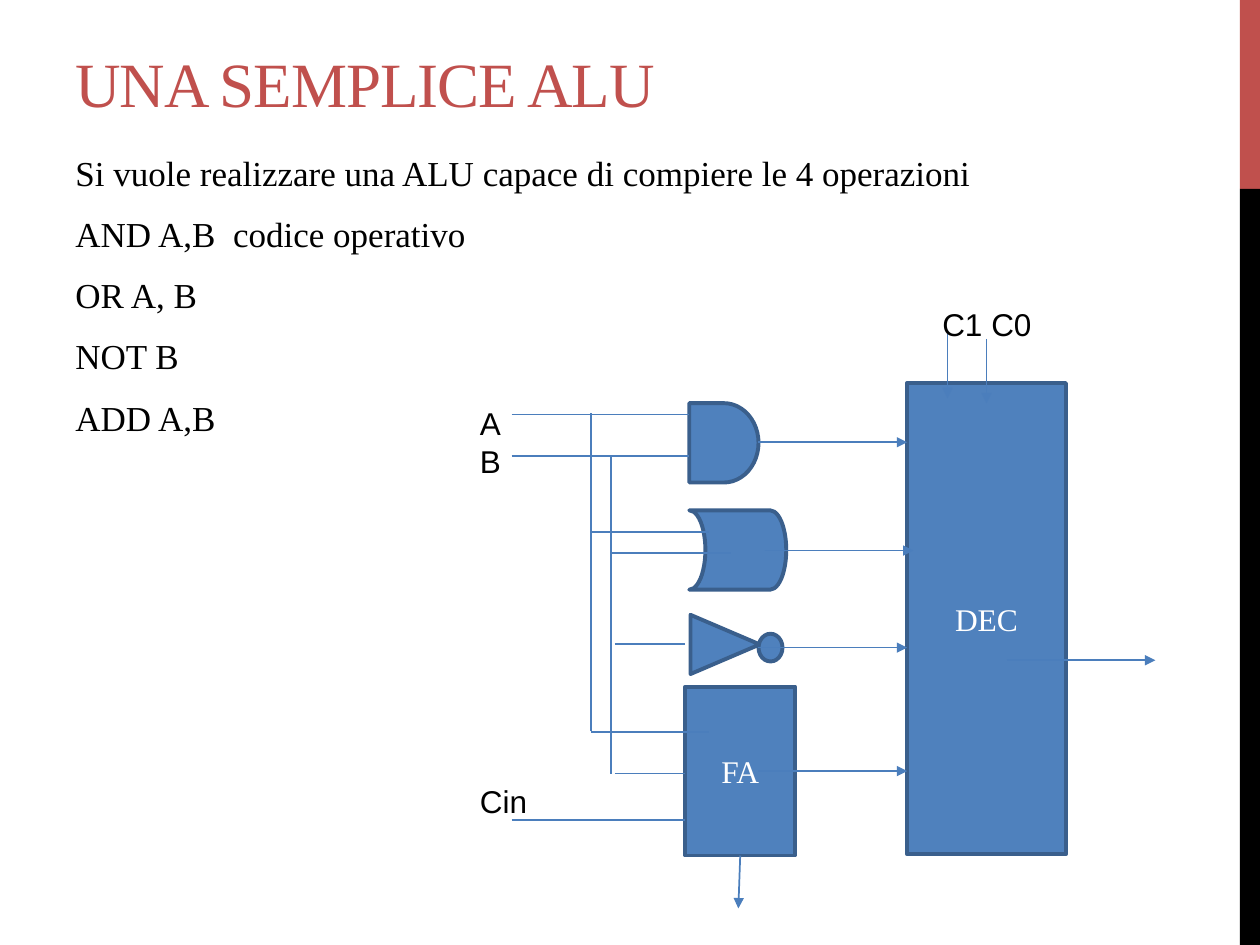
import pptx
import pptx.util
import pptx.dml.color
import pptx.enum.shapes
import pptx.enum.text
import pptx.oxml
import pptx.oxml.ns

RGB = pptx.dml.color.RGBColor
RED = RGB(0xC0, 0x50, 0x4D)
BLACK = RGB(0, 0, 0)
WHITE = RGB(0xFF, 0xFF, 0xFF)
BLUE = RGB(0x4F, 0x81, 0xBD)
EDGE = RGB(0x3A, 0x5F, 0x8C)
WIRE = RGB(0x4B, 0x7E, 0xBC)
SERIF, SANS = "Times New Roman", "Arial"
SHAPE = pptx.enum.shapes.MSO_SHAPE
STRAIGHT = pptx.enum.shapes.MSO_CONNECTOR.STRAIGHT
ANCHOR = pptx.enum.text.MSO_ANCHOR
Pt = pptx.util.Pt

deck = pptx.Presentation()
deck.slide_width = pptx.util.Inches(10)
deck.slide_height = pptx.util.Inches(7.5)
slide = deck.slides.add_slide(deck.slide_layouts[6])

# Grid of 100 columns by 75 rows
CELL = deck.slide_width / 100


def add_block(kind, column, row, columns, rows, fill=BLUE, edge=EDGE, turn=0):
    block = slide.shapes.add_shape(
        kind, *(round(n * CELL) for n in (column, row, columns, rows)))
    block.shadow.inherit = False
    block.rotation = turn
    block.fill.solid()
    block.fill.fore_color.rgb = fill
    if edge is None:
        block.line.fill.background()
    else:
        block.line.color.rgb = edge
        block.line.width = Pt(2.25)
    return block


def add_wire(column, row, end_column, end_row, arrow=False):
    wire = slide.shapes.add_connector(
        STRAIGHT, *(round(n * CELL) for n in (column, row, end_column, end_row)))
    wire.line.color.rgb = WIRE
    wire.line.width = Pt(1)
    if arrow:
        wire.line._get_or_add_ln().append(pptx.oxml.parse_xml(
            '<a:tailEnd %s type="triangle"/>' % pptx.oxml.ns.nsdecls("a")))
    wire._element.spPr.append(pptx.oxml.parse_xml(
        "<a:effectLst %s/>" % pptx.oxml.ns.nsdecls("a")))
    return wire


# Side band
add_block(SHAPE.RECTANGLE, 98.4, 0, 1.6, 15, RED, None)
add_block(SHAPE.RECTANGLE, 98.4, 15, 1.6, 60, BLACK, None)

# Gates, full adder and decoder
adder = add_block(SHAPE.RECTANGLE, 54.4, 54.5, 8.7, 13.4)
add_block(SHAPE.FLOWCHART_DELAY, 54.7, 32, 5.5, 6.3)
add_block(SHAPE.FLOWCHART_STORED_DATA, 54.7, 40.5, 7.7, 6.3, turn=180)
add_block(SHAPE.FLOWCHART_EXTRACT, 55.2, 48.4, 4.7, 5.5, turn=90)
add_block(SHAPE.OVAL, 60.2, 50.3, 1.9, 2.2)
decoder = add_block(SHAPE.RECTANGLE, 72, 30.4, 12.6, 37.4)

for block, name in ((adder, "FA"), (decoder, "DEC")):
    block.text_frame.text = name
    block.text_frame.vertical_anchor = ANCHOR.MIDDLE
    label = block.text_frame.paragraphs[0]
    label.alignment = pptx.enum.text.PP_ALIGN.CENTER
    label.font.size = Pt(18)
    label.font.name = SERIF
    label.font.color.rgb = WHITE

# Vertical buses for A and B
A_BUS, B_BUS = 46.9, 48.5
add_wire(A_BUS, 32.8, A_BUS, 58)
add_wire(B_BUS, 36.2, B_BUS, 61.4)

# Horizontal inputs: start column, end column, row
for start, end, row in (
    (40.6, 54.7, 32.9), (40.6, 54.7, 36.2),
    (A_BUS, 56.3, 42.2), (B_BUS, 58, 43.9),
    (48.8, 54.4, 51.1),
    (A_BUS, 56.3, 58.1), (48.8, 54.4, 61.4), (40.6, 54.4, 65.1),
):
    add_wire(start, row, end, row)

# Outputs of equal length: start column, row
for start, row in ((60.2, 35.1), (60.7, 43.7), (60.2, 51.4),
                   (60.2, 61.2), (79.9, 52.4)):
    add_wire(start, row, start + 11.8, row, arrow=True)

# Selection lines C1 and C0
for column, row in ((75.2, 26.5), (78.3, 26.9)):
    add_wire(column, row, column, row + 5.1, arrow=True)

# Carry out
carry = add_wire(58.7, 67.9, 58.6, 72.1, arrow=True)
carry.begin_connect(adder, 2)

# Texts: lines, box, size, font, colour, wrap, anchor
operations = ["Si vuole realizzare una ALU capace di compiere le 4 operazioni",
              "AND A,B  codice operativo", "OR A, B", "NOT B", "ADD A,B"]
for lines, box, size, font, colour, wrap, anchor in (
    (["UNA SEMPLICE ALU"], (5, 1.7, 63.3, 8.3), 36, SERIF, RED, True, ANCHOR.BOTTOM),
    (operations, (5, 11.5, 88.3, 61.4), 20, SERIF, BLACK, True, ANCHOR.TOP),
    (["A", "B"], (37.1, 31.6, 5.8, 7), 18, SANS, BLACK, False, ANCHOR.TOP),
    (["Cin"], (37.1, 61.6, 5.8, 4), 18, SANS, BLACK, False, ANCHOR.TOP),
    (["C1 C0"], (73.8, 23.7, 9.2, 4), 18, SANS, BLACK, False, ANCHOR.TOP),
):
    frame = slide.shapes.add_textbox(*(round(n * CELL) for n in box)).text_frame
    frame.word_wrap = wrap
    frame.vertical_anchor = anchor
    frame.text = "\n".join(lines)
    for paragraph in frame.paragraphs:
        if lines is operations:
            paragraph.space_before = Pt(5)
            paragraph.space_after = Pt(6)
        for run in paragraph.runs:
            run.font.size = Pt(size)
            run.font.name = font
            run.font.color.rgb = colour
            if colour == RED:
                run.font._element.set("spc", "-60")

deck.save("out.pptx")
